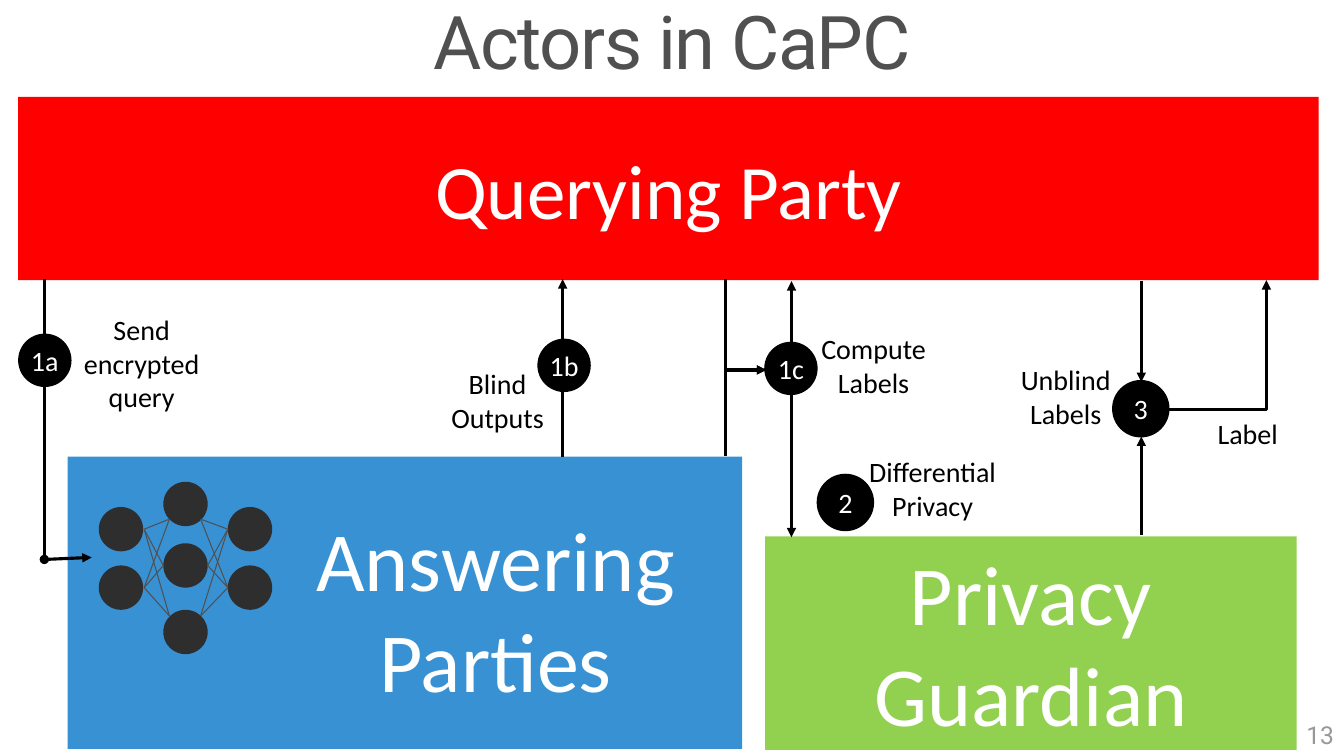
from lxml import etree
from pptx import Presentation
from pptx.dml.color import RGBColor
from pptx.enum.shapes import MSO_CONNECTOR, MSO_SHAPE
from pptx.enum.text import MSO_ANCHOR, PP_ALIGN
from pptx.oxml.ns import qn
from pptx.util import Emu, Pt

PX = 9144  # EMU per px, 100 px to the inch
RECT, OVAL = MSO_SHAPE.RECTANGLE, MSO_SHAPE.OVAL
STRAIGHT, ELBOW = MSO_CONNECTOR.STRAIGHT, MSO_CONNECTOR.ELBOW
TOP, MIDDLE = MSO_ANCHOR.TOP, MSO_ANCHOR.MIDDLE
CENTER, RIGHT = PP_ALIGN.CENTER, PP_ALIGN.RIGHT
C = {"black": "000000", "white": "FFFFFF", "red": "FF0000", "blue": "3891D3",
     "green": "92D050", "node": "2E2E2E", "gray": "505050", "number": "989898"}

prs = Presentation()
prs.slide_width, prs.slide_height = Emu(1333 * PX), Emu(750 * PX)
s = prs.slides.add_slide(prs.slide_layouts[6])


def add_box(x, y, w, h, text="", size=20, color="black", fill=None, kind=RECT,
            anchor=TOP, align=CENTER, font="Calibri", inset=10):
    """A filled shape, or a text box when there is no fill."""
    at = [Emu(v * PX) for v in (x, y, w, h)]
    if fill:
        sp = s.shapes.add_shape(kind, *at)
        sp.shadow.inherit = False
        sp.fill.solid()
        sp.fill.fore_color.rgb = RGBColor.from_string(C[fill])
        sp.line.fill.background()
    else:
        sp = s.shapes.add_textbox(*at)
    if text:
        tf = sp.text_frame
        tf.word_wrap = True
        tf.vertical_anchor = anchor
        tf.margin_left = tf.margin_right = Emu(inset * PX)
        tf.text = text
        for p in tf.paragraphs:
            p.alignment = align
            p.font.size, p.font.name = Pt(size), font
            p.font.color.rgb = RGBColor.from_string(C[color])
    return sp


def add_line(x1, y1, x2, y2, head=None, tail=None, kind=STRAIGHT, color="black", width=2.25):
    """A line with optional ends; an elbow runs across first, then up or down."""
    cn = s.shapes.add_connector(kind, *[Emu(v * PX) for v in (x1, y1, x2, y2)])
    cn.line.color.rgb = RGBColor.from_string(C[color])
    cn.line.width = Pt(width)
    spPr = cn._element.spPr
    if kind == ELBOW:
        spPr.find(qn("a:prstGeom")).set("prst", "bentConnector2")
    for tag, end in (("a:headEnd", head), ("a:tailEnd", tail)):
        if end:
            etree.SubElement(spPr.find(qn("a:ln")), qn(tag)).set("type", end)
    etree.SubElement(spPr, qn("a:effectLst"))


# Title
title = add_box(0, 1, 1333, 96, "Actors in CaPC", 52.9, "gray", font="Roboto")
p = title.text_frame.paragraphs[0]
p.line_spacing = 0.9
p.runs[0].font._element.set("spc", "-100")

# Parties
add_box(18, 96, 1290, 182, "Querying Party", 55, "white", "red", anchor=MIDDLE)
add_box(67, 453, 669, 290, fill="blue")
add_box(302, 499, 379, 212, "Answering Parties", 60, "white")
add_box(759, 532, 527, 212, "Privacy Guardian", 60, "white", "green")

# Message flows
add_line(44, 277, 44, 553)
add_line(44, 555, 91, 553, head="oval", tail="triangle")
for x, y1, y2 in [(558, 453, 277), (785, 339, 279), (785, 389, 533),
                  (1132, 279, 379), (1132, 531, 433)]:
    add_line(x, y1, x, y2, tail="triangle")
for y in (277, 452):
    add_line(760, 367, 720, y, head="triangle", kind=ELBOW)
add_line(1159, 406, 1256, 278, tail="triangle", kind=ELBOW)

# Step badges
for x, y, d, step in [(18, 331, 53, "1a"), (533, 336, 53, "1b"), (758, 339, 53, "1c"),
                      (810, 470, 57, "2"), (1103, 377, 57, "3")]:
    add_box(x, y, d, d, step, 20, "white", "black", OVAL, MIDDLE, inset=0)

# Step labels
for x, y, w, h, text in [(48, 305, 185, 111, "Send encrypted query"),
                         (407, 359, 173, 77, "Blind\nOutputs"),
                         (798, 324, 137, 77, "Compute\nLabels"),
                         (980, 355, 154, 77, "Unblind\nLabels"),
                         (1192, 408, 91, 44, "Label"),
                         (848, 446, 154, 77, "Differential Privacy")]:
    add_box(x, y, w, h, text)

# Neural network: outer columns of two nodes, middle column of three
for x, tops in [(98, (503, 561)), (162, (478, 539, 605)), (226, (503, 561))]:
    for y in tops:
        add_box(x, y, 44, 44, fill="node", kind=OVAL)
for outer_x, edge_x, center_x in [(143, 168, 162), (226, 199, 206)]:
    for outer_y in (525, 583):
        for x, y in [(edge_x, 515), (center_x, 561), (edge_x, 611)]:
            add_line(outer_x, outer_y, x, y, color="gray", width=0.75)

# Slide number
add_box(1033, 709, 300, 40, "13", 17.6, "number", anchor=MIDDLE, align=RIGHT, font="Roboto")

prs.save("out.pptx")
